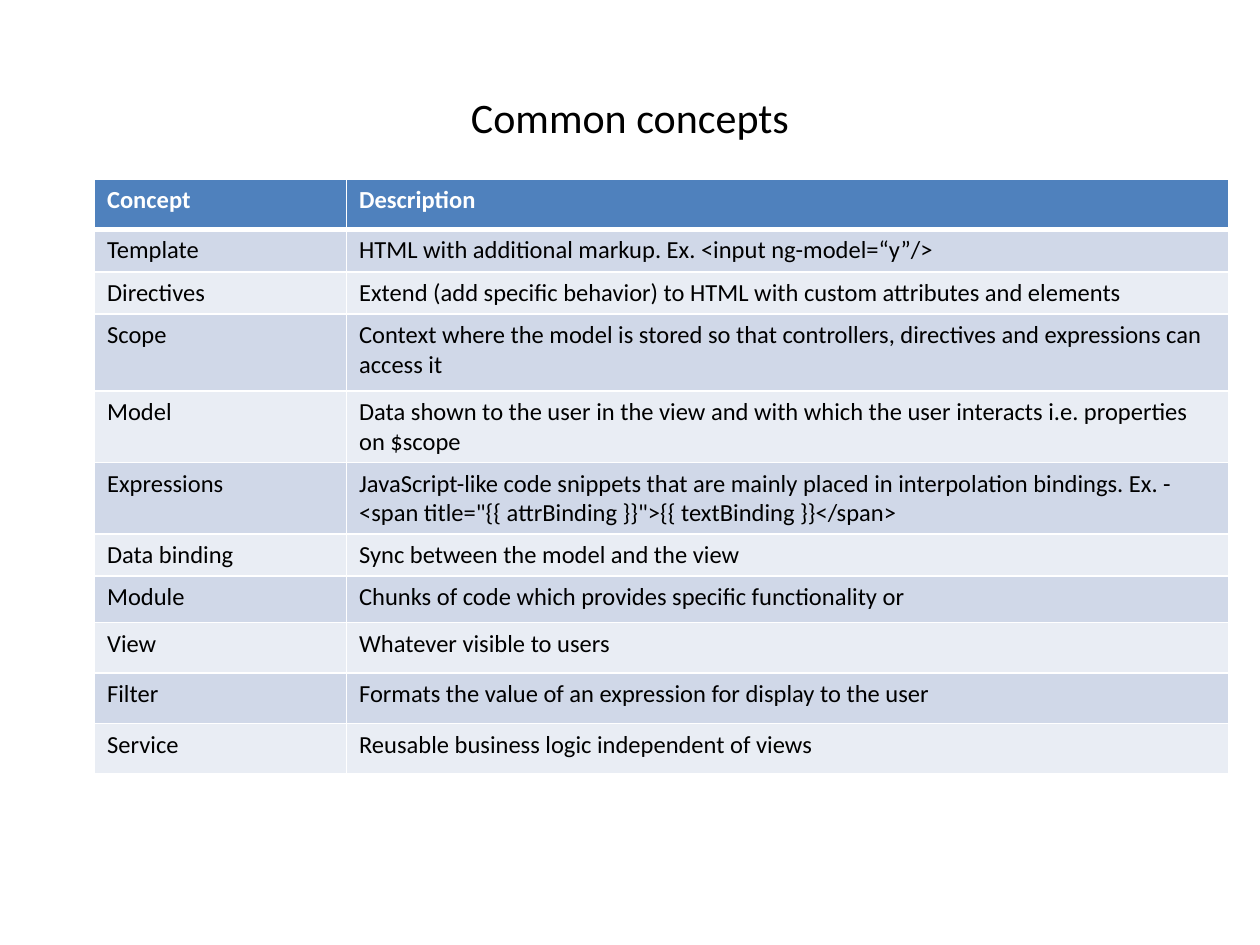
from lxml import etree
from pptx import Presentation
from pptx.dml.color import RGBColor
from pptx.enum.text import MSO_ANCHOR, PP_ALIGN
from pptx.oxml.ns import qn
from pptx.util import Inches, Pt

MIDDLE, CENTER = MSO_ANCHOR.MIDDLE, PP_ALIGN.CENTER

# Content
TITLE = "Common concepts"
HEADER = ("Concept", "Description")
# (concept, description, row height in inches)
CONCEPTS = [
    ("Template", "HTML with additional markup. Ex. <input ng-model=“y”/>", 0.34),
    ("Directives", "Extend (add specific behavior) to HTML with custom attributes and elements", 0.33),
    ("Scope", "Context where the model is stored so that controllers, directives and "
              "expressions can access it", 0.61),
    ("Model", "Data shown to the user in the view and with which the user interacts "
              "i.e. properties on $scope", 0.56),
    ("Expressions", "JavaScript-like code snippets that are mainly placed in interpolation "
                    "bindings. Ex. -  <span title=\"{{ attrBinding }}\">{{ textBinding }}</span>", 0.56),
    ("Data binding", "Sync between the model and the view", 0.33),
    ("Module", "Chunks of code which provides specific functionality or", 0.37),
    ("View", "Whatever visible to users", 0.4),
    ("Filter", "Formats the value of an expression for display to the user", 0.4),
    ("Service", "Reusable business logic independent of views", 0.4),
]

THEME = {
    "font": "Calibri", "title_size": 24, "cell_size": 14,
    "text": "000000", "header_text": "FFFFFF", "header_fill": "4F81BD",
    "bands": ("D0D8E8", "E9EDF4"), "border": "FFFFFF",
}

# Layout
SLIDE_W, SLIDE_H = 10, 7.5
TITLE_BOX = (0.05 * SLIDE_W, 0.04 * SLIDE_H, 0.9 * SLIDE_W, SLIDE_H / 6)
TABLE_LEFT, TABLE_TOP = 0.75, 1.42
COLUMNS = (2, 7)
HEADER_HEIGHT = 0.4


def style_text(para, size, color, bold=False):
    for span in para.runs:
        span.font.name = THEME["font"]
        span.font.size = Pt(size)
        span.font.bold = bold
        span.font.color.rgb = RGBColor.from_string(color)


def set_borders(cell, bottom):
    properties = cell._tc.get_or_add_tcPr()
    widths = {"lnL": 1, "lnR": 1, "lnT": 1, "lnB": bottom}
    for position, (side, width) in enumerate(widths.items()):
        line = etree.Element(qn(f"a:{side}"), w=str(Pt(width)))
        fill = etree.SubElement(line, qn("a:solidFill"))
        etree.SubElement(fill, qn("a:srgbClr"), val=THEME["border"])
        properties.insert(position, line)


def add_title(page):
    box = page.shapes.add_textbox(*map(Inches, TITLE_BOX))
    frame = box.text_frame
    frame.word_wrap = True
    frame.vertical_anchor = MIDDLE
    frame.text = TITLE
    para = frame.paragraphs[0]
    para.alignment = CENTER
    style_text(para, THEME["title_size"], THEME["text"])


def add_concept_table(page):
    rows = [(*HEADER, HEADER_HEIGHT), *CONCEPTS]
    total_height = sum(row[-1] for row in rows)
    table = page.shapes.add_table(
        len(rows), len(COLUMNS), Inches(TABLE_LEFT), Inches(TABLE_TOP),
        Inches(sum(COLUMNS)), Inches(total_height)).table
    for column, width in zip(table.columns, COLUMNS):
        column.width = Inches(width)

    for index, (*texts, height) in enumerate(rows):
        is_header = index == 0
        fill = THEME["header_fill"] if is_header else THEME["bands"][(index - 1) % 2]
        color = THEME["header_text"] if is_header else THEME["text"]
        table.rows[index].height = Inches(height)
        for cell, text in zip(table.rows[index].cells, texts):
            cell.text = text
            cell.fill.solid()
            cell.fill.fore_color.rgb = RGBColor.from_string(fill)
            set_borders(cell, bottom=3 if is_header else 1)
            style_text(cell.text_frame.paragraphs[0], THEME["cell_size"], color, is_header)


def main():
    deck = Presentation()
    deck.slide_width, deck.slide_height = Inches(SLIDE_W), Inches(SLIDE_H)
    page = deck.slides.add_slide(deck.slide_layouts[6])
    add_title(page)
    add_concept_table(page)
    deck.save("out.pptx")


if __name__ == "__main__":
    main()
